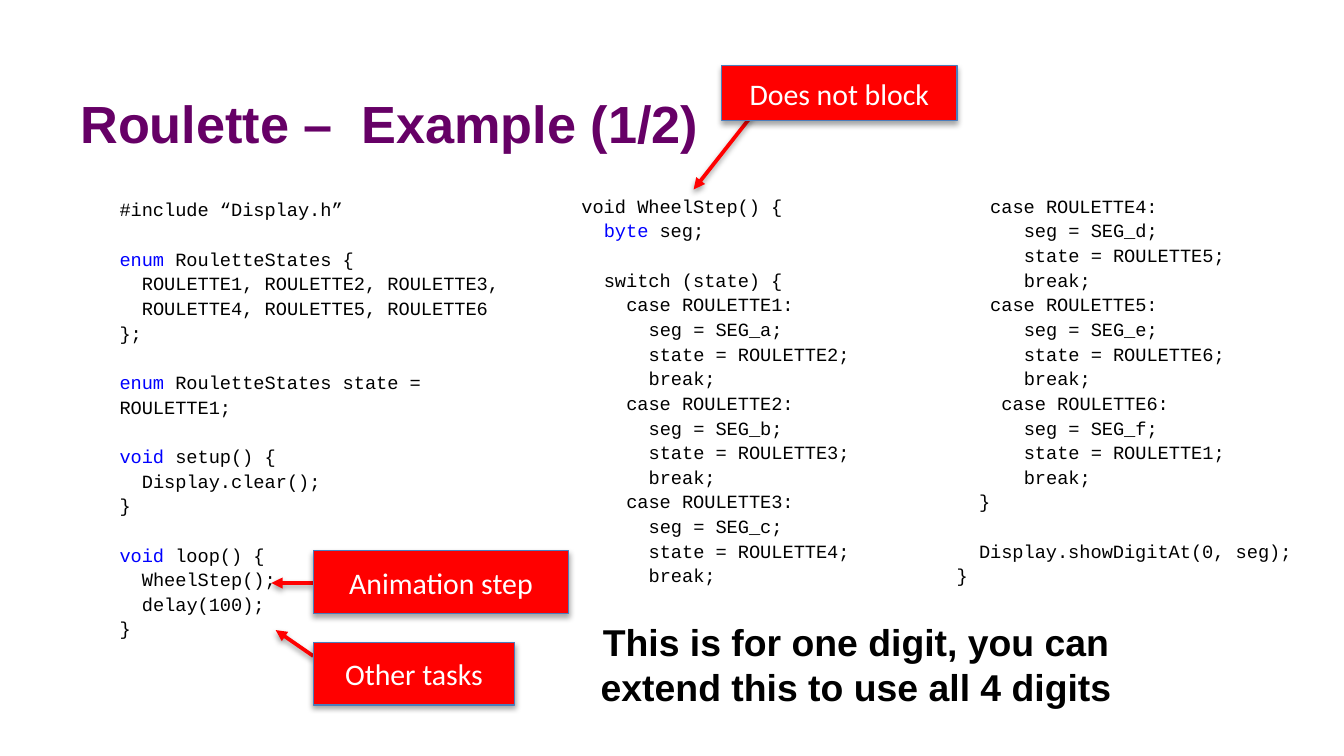
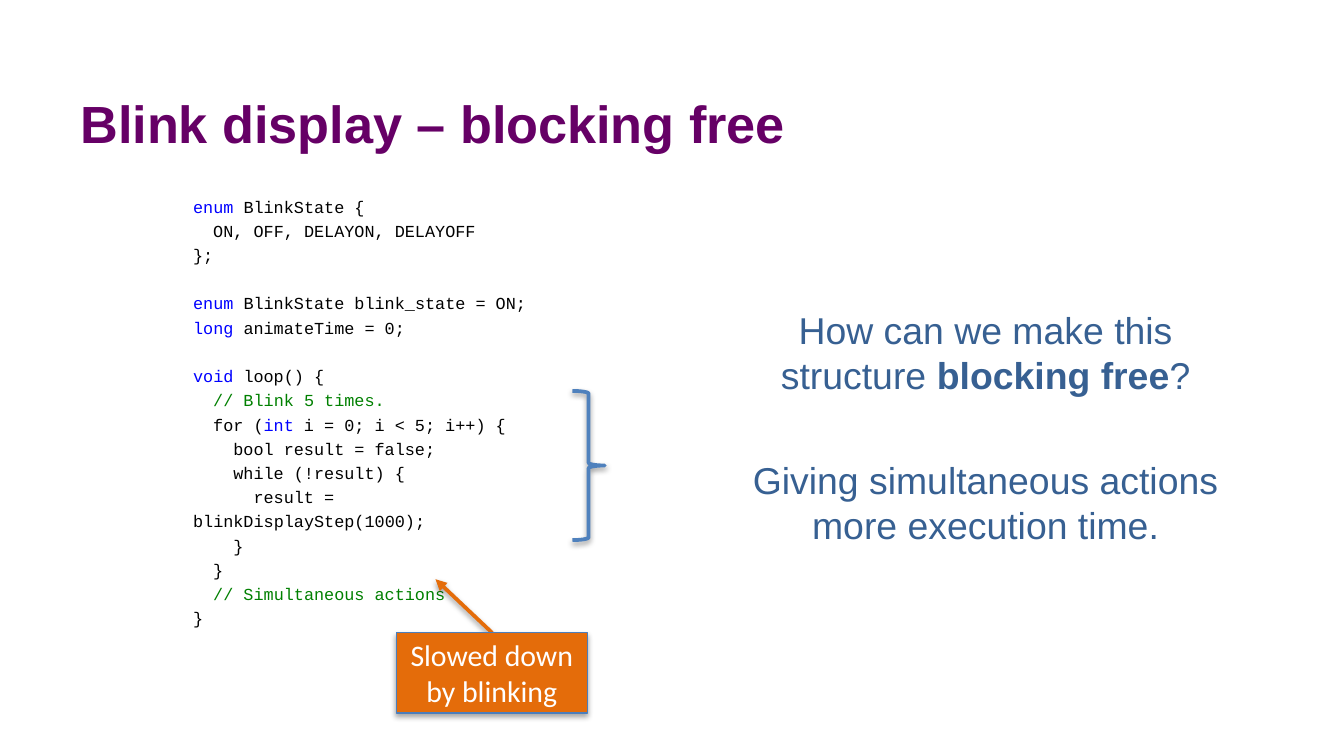
from dataclasses import dataclass
from typing import Any

from lxml.etree import SubElement
from pptx import Presentation
from pptx.dml.color import RGBColor
from pptx.enum.shapes import MSO_CONNECTOR, MSO_SHAPE
from pptx.enum.text import MSO_ANCHOR, PP_ALIGN
from pptx.oxml.ns import qn
from pptx.util import Cm, Pt


@dataclass(frozen=True)
class Theme:
    """Colours, fonts and type sizes of the deck."""
    title: str = "660066"
    ink: str = "000000"
    word: str = "0000FF"
    note: str = "008000"
    ask: str = "376092"
    alert: str = "FF0000"
    slow: str = "E46C0A"
    edge: str = "4B7EBC"
    brace: str = "4F81BD"
    light: str = "FFFFFF"
    sans: str = "Arial"
    label: str = "Calibri"
    mono: str = "Courier New"
    head: float = 28
    body: float = 20
    tag: float = 16
    code: float = 10
    small: float = 9


T = Theme()


@dataclass(frozen=True)
class Area:
    """A rectangle in centimetres."""
    x: float
    y: float
    w: float
    h: float

    def emu(self) -> tuple[Cm, ...]:
        """Return left, top, width and height as lengths."""
        return Cm(self.x), Cm(self.y), Cm(self.w), Cm(self.h)


@dataclass(frozen=True)
class Callout:
    """A label box with an arrow from its edge to the code."""
    text: str
    area: Area
    start: tuple[float, float]
    end: tuple[float, float]
    fill: str = T.alert


@dataclass(frozen=True)
class Code:
    """A listing; backticks enclose coloured words."""
    area: Area
    text: str
    size: float = T.code
    pitch: float = 1.1


TITLE = Area(1.27, 1.12, 22.86, 2.39)

SETUP = Code(Area(2.01, 3.58, 7.7, 7.8), """\
#include “Display.h”

`enum `RouletteStates {
  ROULETTE1, ROULETTE2, ROULETTE3,
  ROULETTE4, ROULETTE5, ROULETTE6
};

`enum `RouletteStates state = ROULETTE1;

`void` setup() {
  Display.clear();
}

`void` loop() {
  WheelStep();
  delay(100);
}""")

STEP = Code(Area(10.74, 3.51, 6.81, 7.32), """\
void WheelStep() {
  `byte `seg;

  switch (state) {
    case ROULETTE1:
      seg = SEG_a;
      state = ROULETTE2;
      break;
    case ROULETTE2:
      seg = SEG_b;
      state = ROULETTE3;
      break;
    case ROULETTE3:
      seg = SEG_c;
      state = ROULETTE4;
      break;""")

REST = Code(Area(17.83, 3.51, 7.09, 7.87), """\
   case ROULETTE4:
      seg = SEG_d;
      state = ROULETTE5;
      break;
   case ROULETTE5:
      seg = SEG_e;
      state = ROULETTE6;
      break;
    case ROULETTE6:
      seg = SEG_f;
      state = ROULETTE1;
      break;
  }

  Display.showDigitAt(0, seg);
}""")

BLINK = Code(Area(3.4, 3.51, 7.42, 9.4), """\
`enum `BlinkState {
  ON, OFF, DELAYON, DELAYOFF
};

`enum `BlinkState blink_state = ON;
`long `animateTime = 0;

`void `loop() {
  `// Blink 5 times.`
  for (`int` i = 0; i < 5; i++) {
    bool result = false;
    while (!result) {
      result = blinkDisplayStep(1000);
    }
  }
  `// Simultaneous actions`
}""", T.small, 1.2)

CALLS = (
    Callout("Does not block", Area(13.64, 1.24, 4.45, 1.04), (14.33, 2.03), (13.11, 3.58)),
    Callout("Animation step", Area(5.92, 10.41, 4.83, 1.19), (5.92, 11.02), (5.13, 11.02)),
    Callout("Other tasks", Area(5.92, 12.14, 3.81, 1.19), (5.92, 12.4), (5.21, 11.91)),
)
SLOWED = Callout("Slowed down by blinking", Area(7.49, 11.96, 3.61, 1.52),
                 (9.3, 11.96), (8.23, 10.95), T.slow)


def rgb(code: str) -> RGBColor:
    """Turn a hex code into a colour."""
    return RGBColor.from_string(code)


def write(shape: Any, text: str, *, font: str = T.sans, size: float = T.body,
          color: str = T.ink, bold: bool = False, mark: str = "",
          align: PP_ALIGN = PP_ALIGN.LEFT, anchor: MSO_ANCHOR = MSO_ANCHOR.TOP,
          pitch: float = 1.0, before: float = 0) -> None:
    """Write lines of text; empty lines become space above the next one.

    Backticks enclose runs in the mark colour, or in bold if there is none.
    """
    frame = shape.text_frame
    frame.word_wrap = True
    frame.vertical_anchor = anchor
    para, gap = frame.paragraphs[0], before
    for num, line in enumerate(text.split("\n")):
        if not line:
            gap += size * 1.2 * pitch + before
            continue
        if num:
            para = frame.add_paragraph()
        para.alignment, para.line_spacing = align, pitch
        para.space_before = Pt(gap)
        gap = before
        bare = line.lstrip(" ")
        inset = (len(line) - len(bare)) * size * 0.6
        para._p.get_or_add_pPr().set("indent", str(int(Pt(inset))))
        for part, piece in enumerate(bare.split("`")):
            if not piece:
                continue
            run = para.add_run()
            run.text = piece
            hit = part % 2 == 1
            tint = T.note if piece.startswith("//") else mark or color
            run.font.name, run.font.size = font, Pt(size)
            run.font.bold = bold or (hit and not mark)
            run.font.color.rgb = rgb(tint if hit else color)


def box(slide: Any, area: Area, text: str, **form: Any) -> None:
    """Add a text box."""
    write(slide.shapes.add_textbox(*area.emu()), text, **form)


def shade(shape: Any, alpha: int = 38, dist: float = 1.6) -> None:
    """Give a shape a soft shadow straight below."""
    effect = SubElement(shape._element.spPr, qn("a:effectLst"))
    outer = SubElement(effect, qn("a:outerShdw"), blurRad=str(int(Pt(3.1))),
                       dist=str(int(Pt(dist))), dir="5400000", rotWithShape="0")
    tint = SubElement(outer, qn("a:srgbClr"), val=T.ink)
    SubElement(tint, qn("a:alpha"), val=str(alpha * 1000))


def stroke(shape: Any, color: str, width: float) -> None:
    """Set the line of a shape."""
    shape.line.color.rgb = rgb(color)
    shape.line.width = Pt(width)


def arrow(slide: Any, call: Callout) -> None:
    """Draw the arrow of a callout."""
    ends = [Cm(v) for v in call.start + call.end]
    line = slide.shapes.add_connector(MSO_CONNECTOR.STRAIGHT, *ends)
    stroke(line, call.fill, 2)
    SubElement(line.line._get_or_add_ln(), qn("a:tailEnd"), type="triangle")
    shade(line)


def point(slide: Any, call: Callout) -> None:
    """Draw a callout: the arrow, then its box."""
    arrow(slide, call)
    shape = slide.shapes.add_shape(MSO_SHAPE.RECTANGLE, *call.area.emu())
    shape.fill.solid()
    shape.fill.fore_color.rgb = rgb(call.fill)
    stroke(shape, T.edge, 0.75)
    shade(shape, 35, 1.8)
    write(shape, call.text, font=T.label, size=T.tag, color=T.light,
          align=PP_ALIGN.CENTER, anchor=MSO_ANCHOR.MIDDLE)


def brace(slide: Any, area: Area) -> None:
    """Draw a right brace."""
    shape = slide.shapes.add_shape(MSO_SHAPE.RIGHT_BRACE, *area.emu())
    shape.fill.background()
    stroke(shape, T.brace, 2)
    shade(shape)


def show(slide: Any, code: Code) -> None:
    """Draw a listing."""
    box(slide, code.area, code.text, font=T.mono, size=code.size,
        mark=T.word, pitch=code.pitch)


def page(deck: Any, title: str) -> Any:
    """Add a blank slide with its title."""
    slide = deck.slides.add_slide(deck.slide_layouts[6])
    box(slide, TITLE, title, size=T.head, color=T.title, bold=True,
        anchor=MSO_ANCHOR.MIDDLE)
    return slide


def wheel(deck: Any) -> None:
    """Build the roulette slide."""
    slide = page(deck, "Roulette –  Example (1/2)")
    for code in (SETUP, STEP, REST):
        show(slide, code)
    box(slide, Area(10.24, 11.58, 11.89, 2.16),
        "This is for one digit, you can extend this to use all 4 digits",
        bold=True, align=PP_ALIGN.CENTER, before=4)
    for call in CALLS:
        point(slide, call)


def blink(deck: Any) -> None:
    """Build the blink slide."""
    slide = page(deck, "Blink display – blocking free")
    show(slide, BLINK)
    box(slide, Area(13.69, 5.69, 9.88, 5.46),
        "How can we make this structure `blocking free`?\n\n"
        "Giving simultaneous actions more execution time.",
        color=T.ask, align=PP_ALIGN.CENTER, before=4)
    brace(slide, Area(10.82, 7.39, 0.61, 2.82))
    point(slide, SLOWED)


def main() -> None:
    """Build and save the deck."""
    deck = Presentation()
    deck.slide_width, deck.slide_height = Cm(25.4), Cm(14.29)
    wheel(deck)
    blink(deck)
    deck.save("out.pptx")


main()
